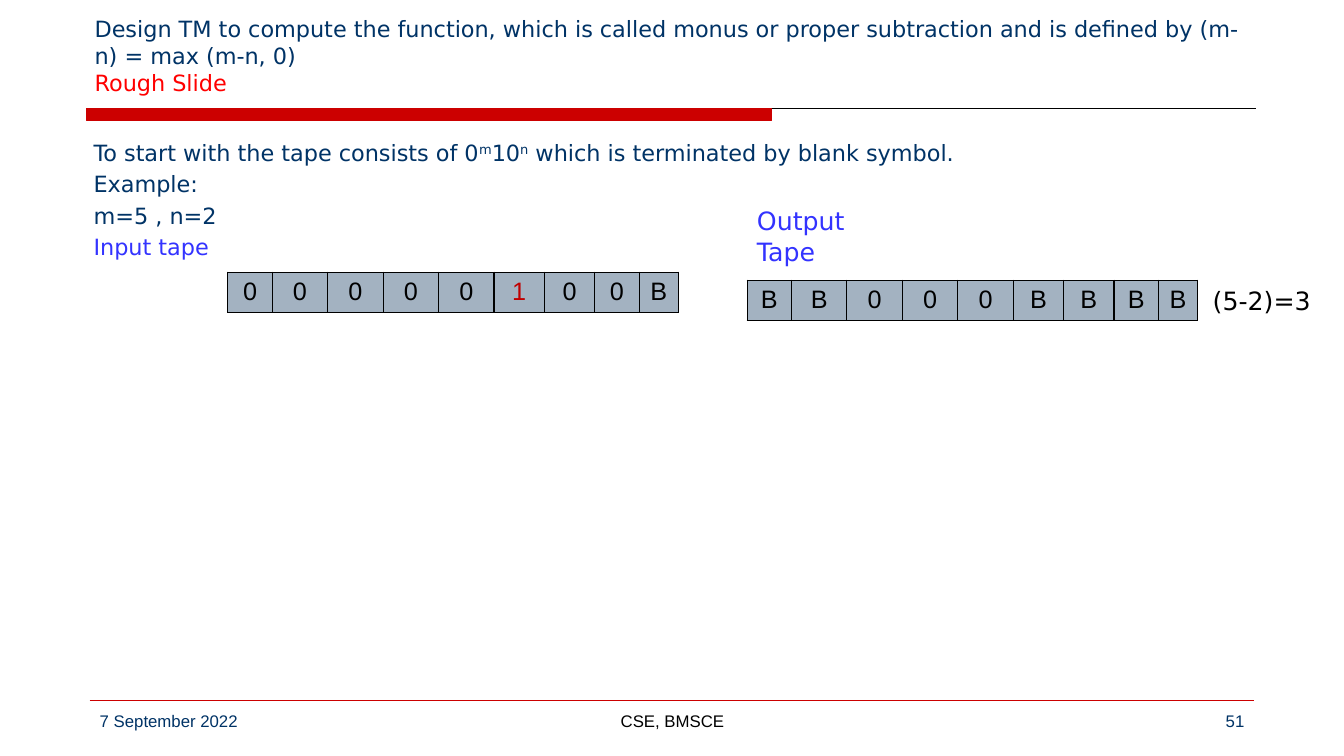
from lxml import etree
from pptx import Presentation
from pptx.dml.color import RGBColor
from pptx.enum.shapes import MSO_CONNECTOR, MSO_SHAPE
from pptx.enum.text import MSO_ANCHOR, PP_ALIGN
from pptx.oxml.ns import qn
from pptx.util import Inches, Pt

NAVY = RGBColor(0x00, 0x33, 0x66)
RED = RGBColor(0xFF, 0x00, 0x00)
DARK_RED = RGBColor(0xC0, 0x00, 0x00)
RULE_RED = RGBColor(0xCC, 0x00, 0x00)
BLUE = RGBColor(0x33, 0x33, 0xFF)
BLACK = RGBColor(0x00, 0x00, 0x00)
CELL_GREY = RGBColor(0xA3, 0xB2, 0xC1)

LEFT, CENTER, RIGHT = PP_ALIGN.LEFT, PP_ALIGN.CENTER, PP_ALIGN.RIGHT
JUSTIFY = PP_ALIGN.JUSTIFY
TOP, MIDDLE, BOTTOM = MSO_ANCHOR.TOP, MSO_ANCHOR.MIDDLE, MSO_ANCHOR.BOTTOM
RECTANGLE = MSO_SHAPE.RECTANGLE
STRAIGHT = MSO_CONNECTOR.STRAIGHT

SANS, ARIAL = "DejaVu Sans", "Arial"
CELL_WIDTHS = [0.44, 0.55, 0.55, 0.55, 0.55, 0.5, 0.5, 0.44, 0.39]


def add_span(para, text, size, color, font=SANS, superscript=False):
    span = para.add_run()
    span.text = text
    span.font.size = Pt(size)
    span.font.name = font
    span.font.color.rgb = color
    if superscript:
        span.font._element.set("baseline", "30000")


def add_box(page, left, top, width, height, anchor=TOP, wrap=True):
    """Add an empty text box and return its text frame."""
    box = page.shapes.add_textbox(Inches(left), Inches(top), Inches(width), Inches(height))
    frame = box.text_frame
    frame.word_wrap = wrap
    frame.vertical_anchor = anchor
    return frame


def add_label(page, text, left, top, width, height, size, color,
              font=SANS, align=LEFT, wrap=True):
    para = add_box(page, left, top, width, height, wrap=wrap).paragraphs[0]
    para.alignment = align
    add_span(para, text, size, color, font)


def add_rule(page, left, top, width, color):
    rule = page.shapes.add_connector(
        STRAIGHT, Inches(left), Inches(top), Inches(left + width), Inches(top))
    rule.line.color.rgb = color
    rule.line.width = Pt(0.75)
    etree.SubElement(rule._element.spPr, qn("a:effectLst"))


def add_header(page, left, top, width, height):
    """Place the title with its half-width bar and thin rule below."""
    para = add_box(page, left, top, width, height, BOTTOM).paragraphs[0]
    add_span(para, "Design TM to compute the function, which is called monus or proper "
                   "subtraction and is defined by (m-n) = max (m-n, 0)", 16, NAVY)
    para.add_line_break()
    add_span(para, "Rough Slide", 16, RED)

    rule_left, rule_top = left + 0.02, top + height + 0.08
    add_rule(page, rule_left, rule_top, 11.6, BLACK)
    bar = page.shapes.add_shape(
        RECTANGLE, Inches(rule_left), Inches(rule_top), Inches(6.79), Inches(0.12))
    bar.shadow.inherit = False
    bar.fill.solid()
    bar.fill.fore_color.rgb = RULE_RED
    bar.line.color.rgb = RULE_RED
    bar.line.width = Pt(0.75)


def add_body(page, left, top, width, height):
    frame = add_box(page, left, top, width, height)
    lines = [
        [("To start with the tape consists of 0", NAVY, False), ("m", NAVY, True),
         ("10", NAVY, False), ("n", NAVY, True),
         (" which is terminated by blank symbol.", NAVY, False)],
        [("Example: ", NAVY, False)],
        [("m=5 , n=2", NAVY, False)],
        [("Input tape", BLUE, False)],
    ]
    for index, line in enumerate(lines):
        para = frame.add_paragraph() if index else frame.paragraphs[0]
        para.alignment = JUSTIFY
        if index:
            para.space_before = Pt(3.2)
        for text, color, superscript in line:
            add_span(para, text, 16, color, superscript=superscript)


def set_borders(cell):
    properties = cell._tc.get_or_add_tcPr()
    for position, side in enumerate(("a:lnL", "a:lnR", "a:lnT", "a:lnB")):
        border = etree.Element(qn(side), w=str(Pt(1)))
        fill = etree.SubElement(border, qn("a:solidFill"))
        etree.SubElement(fill, qn("a:srgbClr"), val=str(BLACK))
        properties.insert(position, border)


def add_tape(page, symbols, left, top, height):
    """Draw a Turing machine tape as a one-row table."""
    tape = page.shapes.add_table(
        1, len(symbols), Inches(left), Inches(top),
        Inches(sum(CELL_WIDTHS)), Inches(height)).table
    tape.first_row = tape.horz_banding = False
    for index, (symbol, width) in enumerate(zip(symbols, CELL_WIDTHS)):
        tape.columns[index].width = Inches(width)
        cell = tape.cell(0, index)
        cell.fill.solid()
        cell.fill.fore_color.rgb = CELL_GREY
        set_borders(cell)
        para = cell.text_frame.paragraphs[0]
        para.alignment = CENTER
        add_span(para, symbol, 18, DARK_RED if symbol == "1" else BLACK, ARIAL)


def add_output(page, left, top):
    add_label(page, "Output Tape", left, top, 1.5, 0.71, 18, BLUE)
    add_tape(page, "BB000BBBB", left, top + 0.79, 0.38)
    add_label(page, "(5-2)=3", left + 4.52, top + 0.79, 1.23, 0.4, 18, BLACK, wrap=False)


def add_footer(page, left, top, width):
    add_rule(page, left, top, width, RULE_RED)
    entries = [
        ("7 September 2022", 0, 2.89, NAVY, LEFT),
        ("CSE, BMSCE", 3.67, 4.22, BLACK, CENTER),
        ("51", width - 2.89, 2.89, NAVY, RIGHT),
    ]
    for text, offset, entry_width, color, align in entries:
        add_label(page, text, left + offset, top + 0.05, entry_width, 0.35,
                  12, color, ARIAL, align)


def main():
    deck = Presentation()
    deck.slide_width, deck.slide_height = Inches(13.33), Inches(7.5)
    page = deck.slides.add_slide(deck.slide_layouts[6])
    add_header(page, 0.84, 0.17, 11.67, 0.83)
    add_body(page, 0.83, 1.33, 11.67, 5.5)
    add_tape(page, "00000100B", 2.26, 2.7, 0.38)
    add_output(page, 7.41, 1.99)
    add_footer(page, 0.89, 6.95, 11.55)
    deck.save("out.pptx")


if __name__ == "__main__":
    main()
